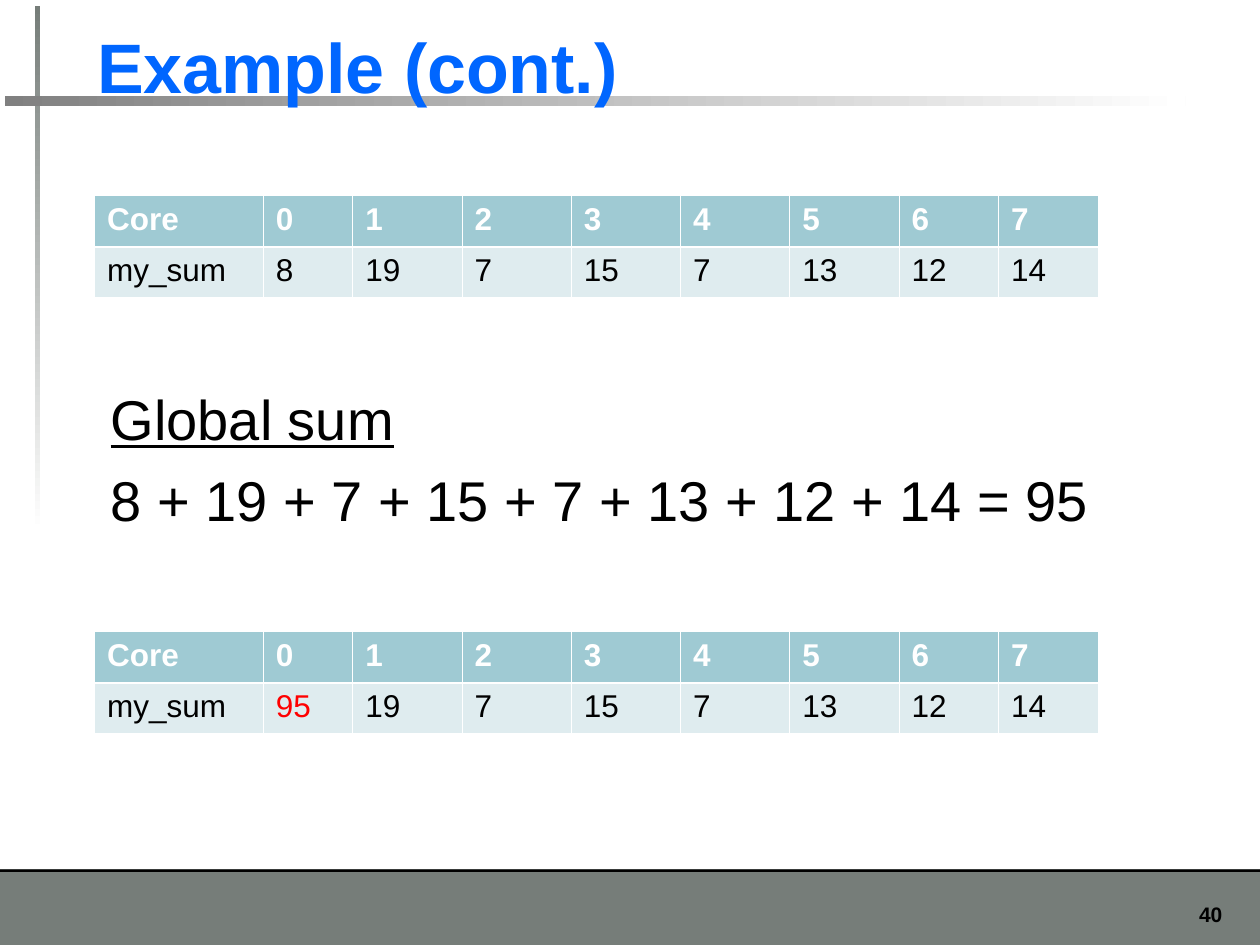
import pptx
import pptx.dml.color
import pptx.enum.shapes
import pptx.enum.text
import pptx.util
import lxml.etree

deck = pptx.Presentation()
deck.slide_width = pptx.util.Inches(10)
deck.slide_height = pptx.util.Inches(7.5)
col = deck.slide_width / 100
row = deck.slide_height / 75
slide = deck.slides.add_slide(deck.slide_layouts[5])


def hue(code):
    return pptx.dml.color.RGBColor.from_string(code)


def style(paragraph, size, color, bold=False, underline=False):
    for run in paragraph.runs:
        run.font.name = "Arial"
        run.font.size = pptx.util.Pt(size)
        run.font.color.rgb = hue(color)
        run.font.bold = bold
        run.font.underline = underline


for left, top, width, height, colors, angle in [
    (0, 69, 100, 6, ["767D79"], None),
    (0, 69, 100, 0.2, ["000000"], None),
    (2.8, 0.5, 0.4, 41.7, ["767D79", "FFFFFF"], 270),
    (0.4, 7.6, 93.7, 0.8, ["808080", "FFFFFF"], 0),
]:
    band = slide.shapes.add_shape(
        pptx.enum.shapes.MSO_SHAPE.RECTANGLE,
        int(left * col), int(top * row), int(width * col), int(height * row))
    band.shadow.inherit = False
    band.line.fill.background()
    if angle is None:
        band.fill.solid()
        band.fill.fore_color.rgb = hue(colors[0])
    else:
        band.fill.gradient()
        band.fill.gradient_angle = angle
        for stop, color in zip(band.fill.gradient_stops, colors):
            stop.color.rgb = hue(color)
            stop.position = colors.index(color)

page_number = slide.shapes.add_textbox(
    int(91.7 * col), int(71.1 * row), int(6.3 * col), int(3 * row)).text_frame
page_number.word_wrap = True
page_number.text = "40"
page_number.paragraphs[0].alignment = pptx.enum.text.PP_ALIGN.RIGHT
style(page_number.paragraphs[0], 12, "000000", bold=True)

heading = slide.shapes.title
slide.shapes._spTree.append(heading._element)
heading.left, heading.top = int(6.7 * col), int(1.3 * row)
heading.width, heading.height = int(90.6 * col), int(7.7 * row)
heading.text_frame.text = "Example (cont.)"
heading.text_frame.auto_size = pptx.enum.text.MSO_AUTO_SIZE.NONE
heading.text_frame.vertical_anchor = pptx.enum.text.MSO_ANCHOR.BOTTOM
heading.text_frame.paragraphs[0].alignment = pptx.enum.text.PP_ALIGN.LEFT
style(heading.text_frame.paragraphs[0], 40, "0066FF", bold=True)

core_sums = [8, 19, 7, 15, 7, 13, 12, 14]
total = sum(core_sums)
core_widths = [13.4, 7.1] + [8.67] * 5 + [7.9] * 2

for top, sums in [(15.5, core_sums), (50.1, [total] + core_sums[1:])]:
    cores = slide.shapes.add_table(
        2, len(core_widths), int(7.5 * col), int(top * row),
        int(sum(core_widths) * col), int(8.1 * row)).table
    for column, width in zip(cores.columns, core_widths):
        column.width = int(width * col)
    cores.rows[0].height, cores.rows[1].height = int(4.1 * row), int(4 * row)
    lines = [["Core", *range(len(sums))], ["my_sum", *sums]]
    for r, values in enumerate(lines):
        for c, value in enumerate(values):
            cell = cores.cell(r, c)
            cell.text = str(value)
            color = "FFFFFF" if r == 0 else "FF0000" if value == total else "000000"
            style(cell.text_frame.paragraphs[0], 18, color, bold=r == 0)
            properties = cell._tc.get_or_add_tcPr()
            for side in ["lnL", "lnR", "lnT", "lnB"]:
                weight = 1.47 if side == ["lnB", "lnT"][r] else 0.45
                border = lxml.etree.SubElement(
                    properties, pptx.oxml.ns.qn("a:" + side),
                    w=str(int(pptx.util.Pt(weight))))
                paint = lxml.etree.SubElement(border, pptx.oxml.ns.qn("a:solidFill"))
                lxml.etree.SubElement(paint, pptx.oxml.ns.qn("a:srgbClr"), val="FFFFFF")
            cell.fill.solid()
            cell.fill.fore_color.rgb = hue(["9FCAD3", "DFECEF"][r])

global_sum = slide.shapes.add_textbox(
    int(7.8 * col), int(30 * row), int(79.7 * col), int(12.4 * row)).text_frame
global_sum.word_wrap = False
global_sum.text = "Global sum"
style(global_sum.paragraphs[0], 32, "000000", underline=True)
addition = global_sum.add_paragraph()
addition.text = " + ".join(map(str, core_sums)) + f" = {total}"
addition.space_before = pptx.util.Pt(8)
style(addition, 32, "000000")

deck.save("out.pptx")
